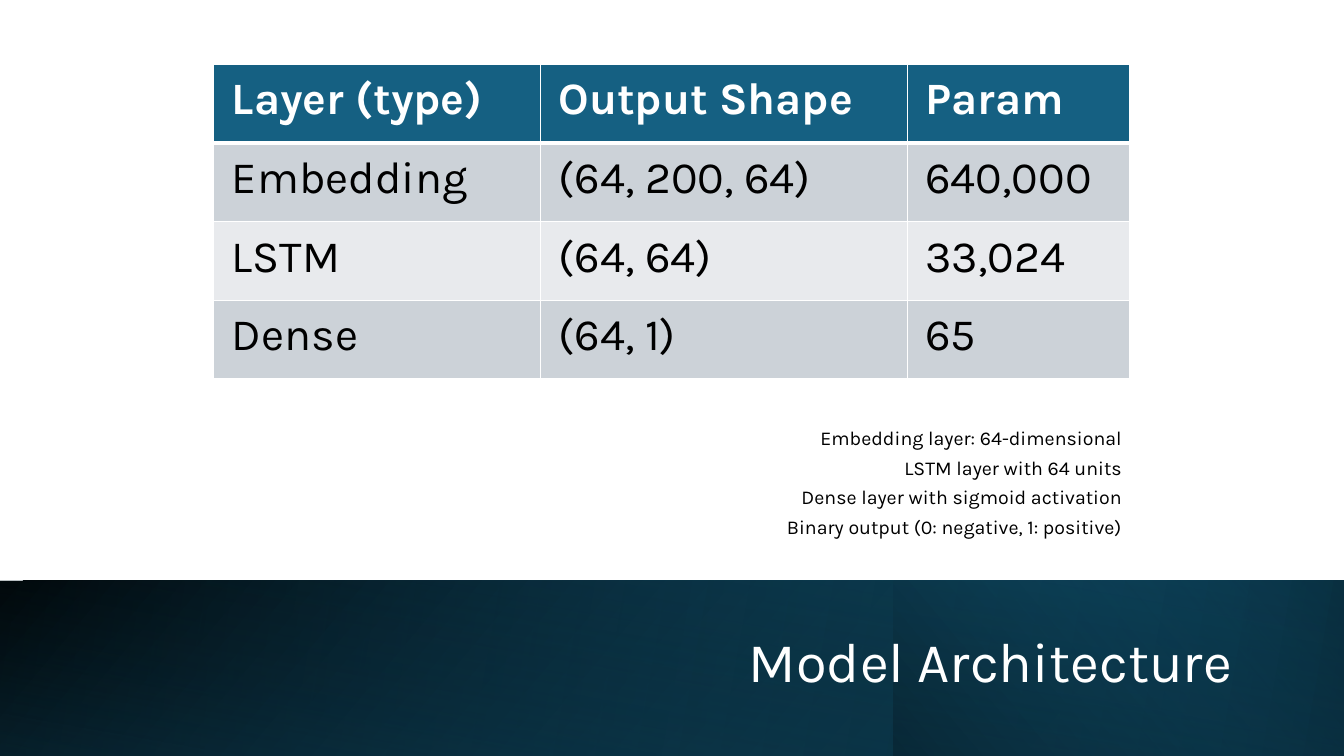
from lxml import etree
from pptx import Presentation
from pptx.dml.color import RGBColor
from pptx.enum.shapes import MSO_SHAPE
from pptx.enum.text import MSO_ANCHOR, PP_ALIGN
from pptx.oxml.ns import qn
from pptx.util import Pt

RECTANGLE = MSO_SHAPE.RECTANGLE
MIDDLE = MSO_ANCHOR.MIDDLE
LEFT, RIGHT = PP_ALIGN.LEFT, PP_ALIGN.RIGHT

BLACK = RGBColor(0x00, 0x00, 0x00)
WHITE = RGBColor(0xFF, 0xFF, 0xFF)
TEAL = RGBColor(0x15, 0x60, 0x82)
NAVY = RGBColor(0x0B, 0x30, 0x41)
BAND_DARK = RGBColor(0xCC, 0xD2, 0xD8)
BAND_LIGHT = RGBColor(0xE8, 0xEA, 0xED)
FONT = "Karla"

TITLE = "Model Architecture"
NOTES = [
    "Embedding layer: 64-dimensional",
    "LSTM layer with 64 units",
    "Dense layer with sigmoid activation",
    "Binary output (0: negative, 1: positive)",
]
LAYERS = [
    ("Layer (type)", "Output Shape", "Param"),
    ("Embedding", "(64, 200, 64)", "640,000"),
    ("LSTM", "(64, 64)", "33,024"),
    ("Dense", "(64, 1)", "65"),
]

SLIDE_WIDTH, SLIDE_HEIGHT = 960, 540
TABLE_LEFT, TABLE_TOP, ROW_HEIGHT = 152.7, 46.2, 56.1
COLUMN_WIDTHS = [233.3, 262, 159.2]
FOOTER_TOP = 414.7
FOOTER_HEIGHT = SLIDE_HEIGHT - FOOTER_TOP
GLOW_LEFT = 638.6

# left, width, flipped, rotation, clockwise angle, stops (position, colour, opacity %)
FOOTER_LAYERS = [
    (0, SLIDE_WIDTH, True, 0, 140, [(0, BLACK, 100), (1, TEAL, 100)]),
    (0, SLIDE_WIDTH, True, 0, 170, [(0, TEAL, 0), (1, NAVY, 100)]),
    (GLOW_LEFT, SLIDE_WIDTH - GLOW_LEFT, True, 0, 220, [(0, NAVY, 100), (1, TEAL, 0)]),
    (-0.5, SLIDE_WIDTH, False, 180, 280, [(0, BLACK, 0), (0.99, NAVY, 55)]),
]


def write_text(text_frame, lines, size, color=BLACK, bold=False, align=LEFT,
               line_spacing=None, space_after=None):
    text_frame.word_wrap = True
    for index, line in enumerate(lines):
        paragraph = text_frame.paragraphs[0] if index == 0 else text_frame.add_paragraph()
        paragraph.alignment = align
        paragraph.line_spacing = line_spacing
        paragraph.space_after = space_after
        run = paragraph.add_run()
        run.text = line
        run.font.name = FONT
        run.font.size = Pt(size)
        run.font.bold = bold
        run.font.color.rgb = color


def add_text_box(slide, lines, left, top, width, height, **text_format):
    box = slide.shapes.add_textbox(Pt(left), Pt(top), Pt(width), Pt(height))
    box.text_frame.vertical_anchor = MIDDLE
    write_text(box.text_frame, lines, align=RIGHT, line_spacing=0.9, **text_format)


def add_footer_layer(slide, left, width, flipped, rotation, angle, stops):
    shape = slide.shapes.add_shape(
        RECTANGLE, Pt(left), Pt(FOOTER_TOP), Pt(width), Pt(FOOTER_HEIGHT))
    shape.shadow.inherit = False
    shape.line.fill.background()
    shape.rotation = rotation
    properties = shape.element.spPr
    if flipped:
        properties.find(qn("a:xfrm")).set("flipH", "1")
    shape.fill.gradient()
    shape.fill.gradient_angle = 360 - angle
    for stop, (position, color, _) in zip(shape.fill.gradient_stops, stops):
        stop.position = position
        stop.color.rgb = color
    for element, (_, _, opacity) in zip(properties.iter(qn("a:srgbClr")), stops):
        if opacity < 100:
            etree.SubElement(element, qn("a:alpha")).set("val", str(opacity * 1000))


def set_borders(cell, top, bottom):
    """Draw white borders; top and bottom are widths in points."""
    properties = cell._tc.get_or_add_tcPr()
    for side, width in (("L", 1), ("R", 1), ("T", top), ("B", bottom)):
        line = etree.SubElement(properties, qn("a:ln" + side), w=str(Pt(width)))
        fill = etree.SubElement(line, qn("a:solidFill"))
        etree.SubElement(fill, qn("a:srgbClr"), val=str(WHITE))


def add_layer_table(slide):
    table = slide.shapes.add_table(
        len(LAYERS), len(COLUMN_WIDTHS), Pt(TABLE_LEFT), Pt(TABLE_TOP),
        Pt(sum(COLUMN_WIDTHS)), Pt(ROW_HEIGHT * len(LAYERS))).table
    for column, width in zip(table.columns, COLUMN_WIDTHS):
        column.width = Pt(width)
    for row_index, values in enumerate(LAYERS):
        table.rows[row_index].height = Pt(ROW_HEIGHT)
        header = row_index == 0
        band = BAND_DARK if row_index % 2 else BAND_LIGHT
        for column_index, value in enumerate(values):
            cell = table.cell(row_index, column_index)
            cell.margin_left = cell.margin_right = Pt(13)
            cell.margin_top = cell.margin_bottom = Pt(6.5)
            set_borders(cell, top=3 if row_index == 1 else 1, bottom=3 if header else 1)
            cell.fill.solid()
            cell.fill.fore_color.rgb = TEAL if header else band
            write_text(cell.text_frame, [value], size=32, bold=header,
                       color=WHITE if header else BLACK)


def main():
    presentation = Presentation()
    presentation.slide_width = Pt(SLIDE_WIDTH)
    presentation.slide_height = Pt(SLIDE_HEIGHT)
    slide = presentation.slides.add_slide(presentation.slide_layouts[6])
    for layer in FOOTER_LAYERS:
        add_footer_layer(slide, *layer)
    add_text_box(slide, [TITLE], 108, 434.2, 779, 81.4, size=40, color=WHITE)
    add_text_box(slide, NOTES, TABLE_LEFT, 301.7, 655.9, 87.8, size=14, space_after=Pt(6))
    add_layer_table(slide)
    presentation.save("out.pptx")


if __name__ == "__main__":
    main()
